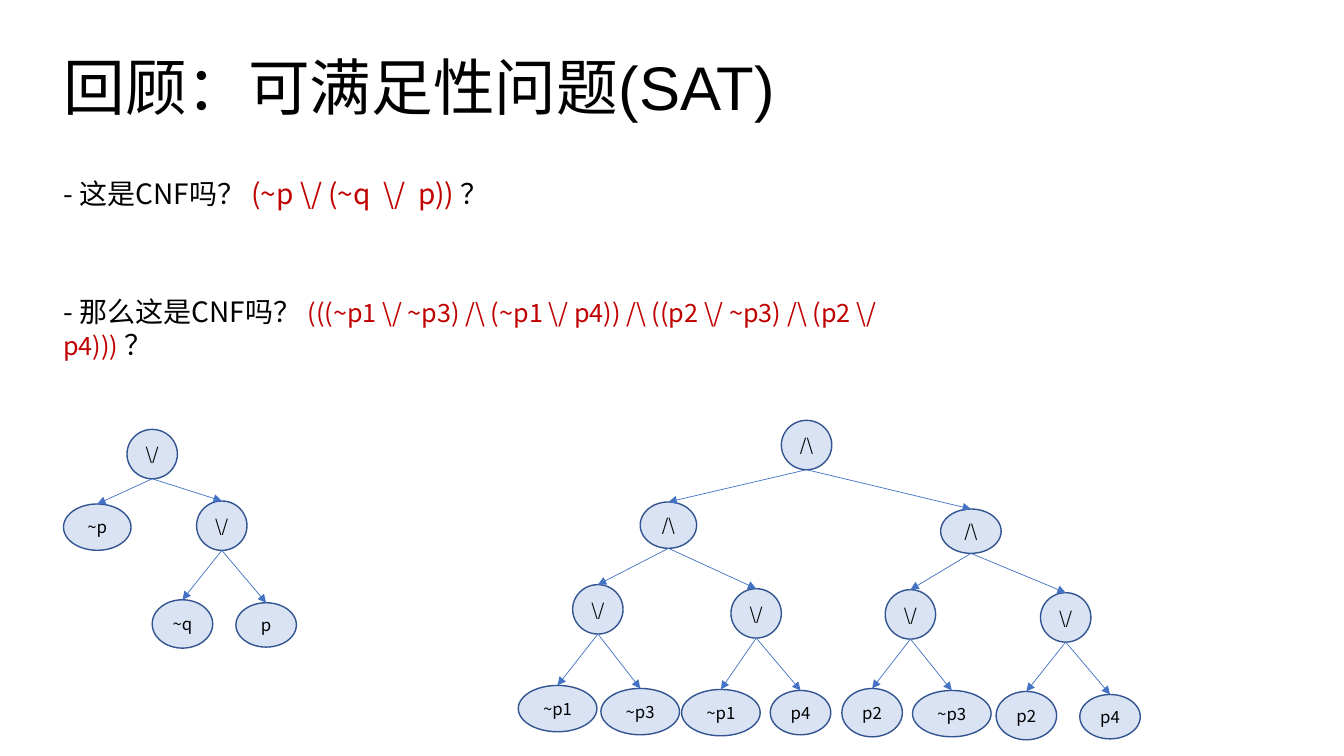
"""Build a slide that reviews SAT with two formula trees."""
import pptx
import pptx.dml.color
import pptx.enum.shapes
import pptx.enum.text
import pptx.oxml
import pptx.oxml.ns
import pptx.util
from pptx.util import Inches

CJK_FONT = "Noto Sans CJK SC"
BLACK, RED = "000000", "C00000"
NODE_FILL, NODE_LINE, EDGE = "DAE3F3", "325491", "4472C4"
ROUND, LEAF, FLAT, WIDE = (0.5, 0.49), (0.6, 0.48), (0.6, 0.44), (0.78, 0.46)

SMALL_TREE = ("\\/", 1.26, 4.26, ROUND, [
    ("~p", 0.63, 5, (0.67, 0.46), []),
    ("\\/", 1.95, 4.97, ROUND, [
        ("~q", 1.51, 5.95, LEAF, []),
        ("p", 2.34, 5.98, FLAT, []),
    ]),
])
LARGE_TREE = ("/\\", 7.75, 4.17, ROUND, [
    ("/\\", 6.35, 4.98, (0.56, 0.46), [
        ("\\/", 5.68, 5.8, ROUND, [
            ("~p1", 5.14, 6.8, WIDE, []),
            ("~p3", 5.96, 6.83, WIDE, []),
        ]),
        ("\\/", 7.25, 5.84, ROUND, [
            ("~p1", 6.76, 6.84, WIDE, []),
            ("p4", 7.64, 6.85, FLAT, []),
        ]),
    ]),
    ("/\\", 9.33, 5.05, FLAT, [
        ("\\/", 8.78, 5.85, ROUND, [
            ("p2", 8.35, 6.83, LEAF, []),
            ("~p3", 9.05, 6.85, WIDE, []),
        ]),
        ("\\/", 10.32, 5.88, ROUND, [
            ("p2", 9.88, 6.86, LEAF, []),
            ("p4", 10.71, 6.89, FLAT, []),
        ]),
    ]),
])


def color(value):
    return pptx.dml.color.RGBColor.from_string(value)


def add_span(para, text, size=20, fill=BLACK, font=CJK_FONT):
    span = para.add_run()
    span.text = text
    span.font.size = pptx.util.Pt(size)
    span.font.name = font
    span.font.color.rgb = color(fill)
    east_asian = pptx.oxml.parse_xml(
        f'<a:ea {pptx.oxml.ns.nsdecls("a")} typeface="{CJK_FONT}"/>')
    span.font._element.append(east_asian)


def add_title(page, text):
    title = page.shapes.title
    title.left, title.top = Inches(0.53), Inches(0.17)
    title.width, title.height = Inches(11.5), Inches(1.45)
    frame = title.text_frame
    frame.auto_size = pptx.enum.text.MSO_AUTO_SIZE.NONE
    frame.vertical_anchor = pptx.enum.text.MSO_ANCHOR.MIDDLE
    para = frame.paragraphs[0]
    para.alignment = pptx.enum.text.PP_ALIGN.LEFT
    para.line_spacing = 0.9
    add_span(para, text, size=44, font="Arial")


def add_question(page, top, width, question, formula, formula_size):
    box = page.shapes.add_textbox(
        Inches(0.53), Inches(top), Inches(width), Inches(0.44))
    box.text_frame.word_wrap = True
    para = box.text_frame.paragraphs[0]
    add_span(para, question)
    add_span(para, formula, size=formula_size, fill=RED)
    add_span(para, "？")


def add_node(page, label, left, top, size):
    node = page.shapes.add_shape(
        pptx.enum.shapes.MSO_SHAPE.OVAL,
        Inches(left), Inches(top), Inches(size[0]), Inches(size[1]))
    node.shadow.inherit = False
    node.fill.solid()
    node.fill.fore_color.rgb = color(NODE_FILL)
    node.line.color.rgb = color(NODE_LINE)
    node.line.width = pptx.util.Pt(1)
    frame = node.text_frame
    frame.word_wrap = False
    frame.vertical_anchor = pptx.enum.text.MSO_ANCHOR.MIDDLE
    para = frame.paragraphs[0]
    para.alignment = pptx.enum.text.PP_ALIGN.CENTER
    add_span(para, label, size=12)
    return node


def add_edge(page, parent, child):
    edge = page.shapes.add_connector(
        pptx.enum.shapes.MSO_CONNECTOR.STRAIGHT,
        parent.left + parent.width // 2, parent.top + parent.height,
        child.left + child.width // 2, child.top)
    edge.line.color.rgb = color(EDGE)
    edge.line.width = pptx.util.Pt(0.5)
    namespace = pptx.oxml.ns.nsdecls("a")
    edge.line._get_or_add_ln().append(
        pptx.oxml.parse_xml(f'<a:tailEnd {namespace} type="triangle"/>'))
    edge._element.spPr.append(
        pptx.oxml.parse_xml(f"<a:effectLst {namespace}/>"))


def add_tree(page, tree):
    label, left, top, size, branches = tree
    node = add_node(page, label, left, top, size)
    for branch in branches:
        add_edge(page, node, add_tree(page, branch))
    return node


def main():
    deck = pptx.Presentation()
    deck.slide_width, deck.slide_height = Inches(13.33), Inches(7.5)
    page = deck.slides.add_slide(deck.slide_layouts[5])
    add_title(page, "回顾：可满足性问题(SAT)")
    add_question(page, 1.7, 4.54, "- 这是CNF吗？ ",
                 "(~p \\/ (~q  \\/  p)) ", 20)
    add_question(page, 2.87, 9.13, "- 那么这是CNF吗？ ",
                 "(((~p1 \\/ ~p3) /\\ (~p1 \\/ p4)) /\\ "
                 "((p2 \\/ ~p3) /\\ (p2 \\/ p4))) ", 18)
    for tree in (SMALL_TREE, LARGE_TREE):
        add_tree(page, tree)
    deck.save("out.pptx")


if __name__ == "__main__":
    main()
